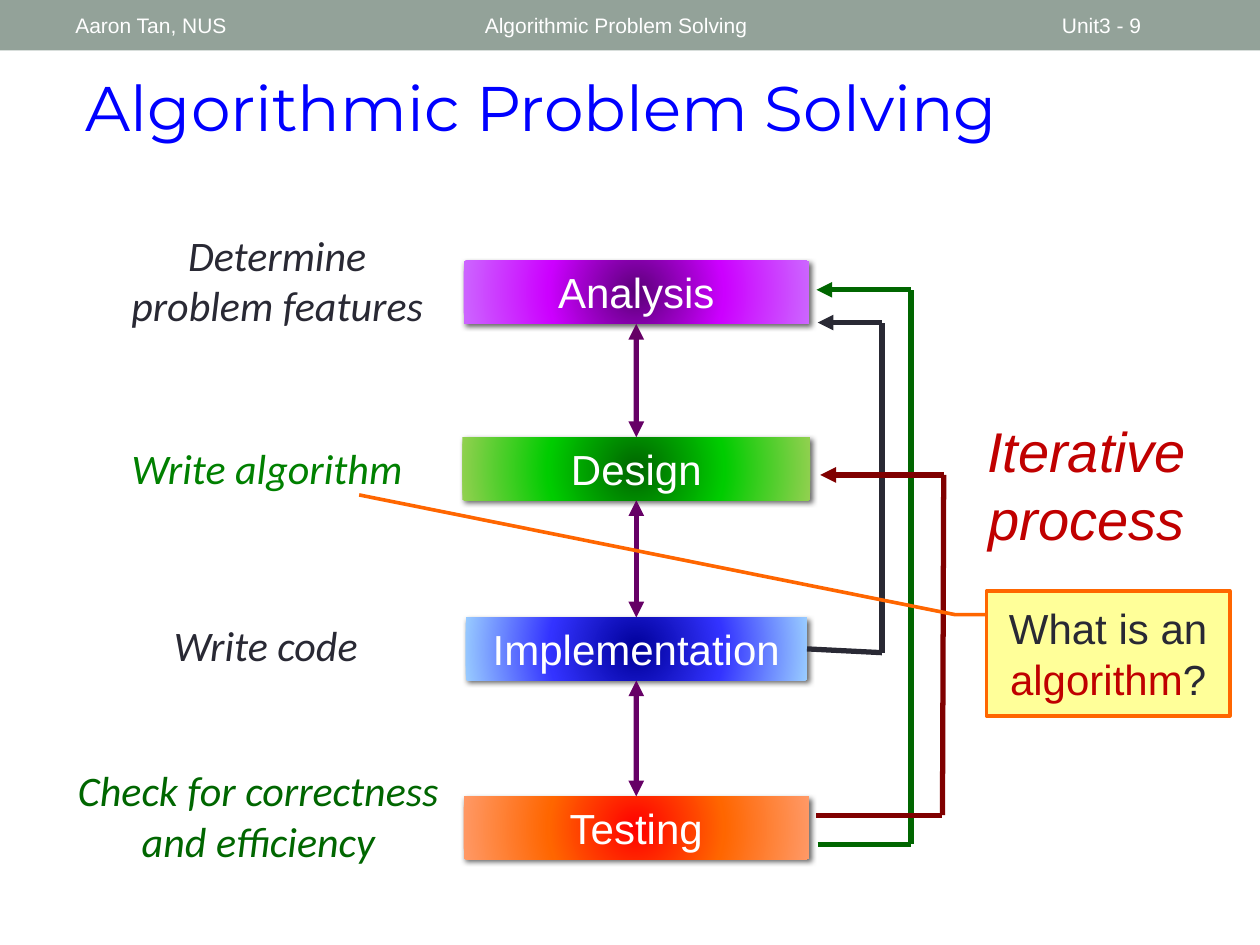
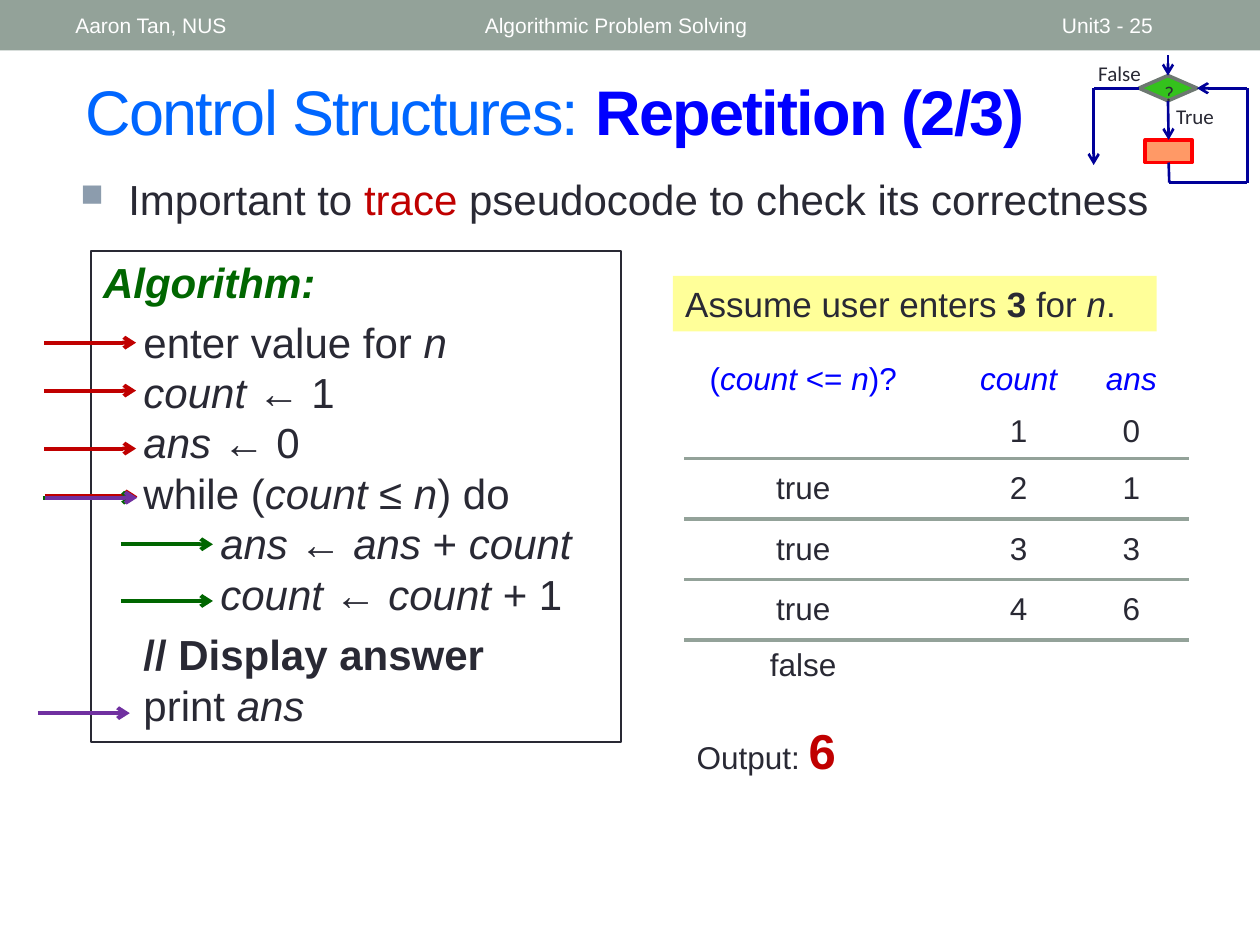
from itertools import pairwise

from pptx import Presentation
from pptx import util as u
from pptx.dml.color import RGBColor
from pptx.enum import shapes, text
from pptx.oxml import parse_xml
from pptx.oxml.ns import nsdecls, qn

INK, WHITE, BAND = "292934", "FFFFFF", "93A299"
BLUE, NAVY, GREEN, RED = "0000FF", "000099", "006600", "C00000"
PURPLE, MAROON, ORANGE, YELLOW = "7030A0", "800000", "FF6600", "FFFF99"
PRESET = shapes.MSO_SHAPE
LEFT, CENTER = text.PP_ALIGN.LEFT, text.PP_ALIGN.CENTER
TOP, MIDDLE = text.MSO_ANCHOR.TOP, text.MSO_ANCHOR.MIDDLE
NO_TABLE_STYLE = "{2D5ABB26-0587-4C30-8999-92F81FD0307C}"


def rgb(value):
    return RGBColor.from_string(value)


def element(xml):
    tag = xml.split()[0].strip("</>")
    return parse_xml(xml.replace(f"<{tag}", f"<{tag} {nsdecls('a')}", 1))


def italics(line):
    return [(part, {"italic": index % 2 == 1})
            for index, part in enumerate(line.split("*")) if part]


class Painter:
    def __init__(self):
        self.deck = Presentation()
        self.deck.slide_width = u.Inches(10)
        self.deck.slide_height = u.Inches(7.5)
        self.page = None

    def add_page(self, number):
        self.page = self.deck.slides.add_slide(self.deck.slide_layouts[5])
        self.shape(PRESET.RECTANGLE, (0, 0, 10, 0.4), fill=BAND)
        for left, width, label in ((0.5, 3.17, "Aaron Tan, NUS"),
                                   (3.75, 4.5, "Algorithmic Problem Solving"),
                                   (8.33, 1.17, f"Unit3 - {number}")):
            self.label((left, 0.02, width, 0.36), label, size=12,
                       color=WHITE, align=LEFT, anchor=MIDDLE)

    def style(self, font, color=None, size=None, name=None, bold=None, italic=None):
        if color:
            font.color.rgb = rgb(color)
        if size:
            font.size = u.Pt(size)
        if name:
            font.name = name
        if bold is not None:
            font.bold = bold
        if italic is not None:
            font.italic = italic

    def fill_para(self, para, content, align=LEFT, before=0, after=0, extras=(),
                  size=24, color=INK, name="Arial", **font):
        para.alignment = align
        para.space_before, para.space_after = u.Pt(before), u.Pt(after)
        properties = para._p.get_or_add_pPr()
        for xml in extras:
            properties.append(element(xml))
        self.style(para.font, color, size, name, **font)
        for piece in [content] if isinstance(content, str) else content:
            words, changes = (piece, {}) if isinstance(piece, str) else piece
            span = para.add_run()
            span.text = words
            self.style(span.font, **changes)

    def fit(self, frame, anchor=TOP, wrap=True):
        frame.word_wrap = wrap
        frame.auto_size = text.MSO_AUTO_SIZE.NONE
        frame.vertical_anchor = anchor
        return frame.paragraphs[0]

    def title(self, at, content, anchor=TOP, spacing=0, **font):
        box = self.page.shapes.title
        box.left, box.top, box.width, box.height = map(u.Inches, at)
        para = self.fit(box.text_frame, anchor)
        self.fill_para(para, content, size=36, **font)
        for span in para.runs:
            span.font._element.set("spc", str(spacing))

    def label(self, at, content, anchor=TOP, wrap=True, align=CENTER, **font):
        box = self.page.shapes.add_textbox(*map(u.Inches, at))
        para = self.fit(box.text_frame, anchor, wrap)
        self.fill_para(para, content, align=align, **font)
        return para

    def shape(self, preset, at, fill=None, line=None, width=1, content=None,
              anchor=TOP, **font):
        box = self.page.shapes.add_shape(preset, *map(u.Inches, at))
        box.shadow.inherit = False
        if fill:
            box.fill.solid()
            box.fill.fore_color.rgb = rgb(fill)
        else:
            box.fill.background()
        if line:
            box.line.color.rgb = rgb(line)
            box.line.width = u.Pt(width)
        else:
            box.line.fill.background()
        para = self.fit(box.text_frame, anchor)
        if content:
            self.fill_para(para, content, **font)
        return box

    def glow_box(self, at, content, colors):
        box = self.shape(PRESET.RECTANGLE, at, content=content,
                         align=CENTER, color=WHITE)
        properties = box.element.spPr
        stops = "".join(f'<a:gs pos="{index * 50000}"><a:srgbClr val="{color}"/></a:gs>'
                        for index, color in enumerate(colors))
        properties.replace(properties.find(qn("a:noFill")), element(
            f'<a:gradFill rotWithShape="1"><a:gsLst>{stops}</a:gsLst><a:path path="circle">'
            '<a:fillToRect l="50000" t="50000" r="50000" b="50000"/></a:path></a:gradFill>'))
        properties.find(qn("a:effectLst")).append(element(
            f'<a:outerShdw blurRad="{u.Pt(3)}" dist="{u.Pt(2)}" dir="2700000">'
            '<a:srgbClr val="000000"><a:alpha val="60000"/></a:srgbClr></a:outerShdw>'))
        return box

    def line(self, start, end, color, width, head=None, tail=None):
        joins = [hasattr(point[0], "shape_id") for point in (start, end)]
        points = [(0, 0) if joined else point
                  for joined, point in zip(joins, (start, end))]
        connector = self.page.shapes.add_connector(
            shapes.MSO_CONNECTOR.STRAIGHT, *(u.Inches(v) for point in points for v in point))
        if joins[0]:
            connector.begin_connect(*start)
        if joins[1]:
            connector.end_connect(*end)
        connector.line.color.rgb = rgb(color)
        connector.line.width = u.Pt(width)
        properties = connector.element.spPr
        for tag, kind in (("headEnd", head), ("tailEnd", tail)):
            if kind:
                properties.find(qn("a:ln")).append(element(f'<a:{tag} type="{kind}"/>'))
        properties.append(element("<a:effectLst />"))

    def route(self, points, color, width, tail=None):
        for start, end in pairwise(points):
            self.line(start, end, color, width, tail=tail if end is points[-1] else None)

    def trace_table(self, at, widths, heights, rows):
        frame = self.page.shapes.add_table(len(rows), len(widths), *map(u.Inches, at))
        table = frame.table
        table.first_row = table.horz_banding = False
        table._tbl.tblPr.find(qn("a:tableStyleId")).text = NO_TABLE_STYLE
        for column, width in zip(table.columns, widths):
            column.width = u.Inches(width)
        for row, height in zip(table.rows, heights):
            row.height = u.Inches(height)
        for row_index, row in enumerate(rows):
            for column_index, content in enumerate(row):
                cell = table.cell(row_index, column_index)
                cell.fill.background()
                cell.vertical_anchor = MIDDLE
                if column_index == 0:
                    cell.margin_right = u.Inches(0.43)
                self.fill_para(cell.text_frame.paragraphs[0], italics(content), size=18,
                               align=CENTER, color=INK if row_index else BLUE)
                if 0 < row_index < len(rows) - 1:
                    cell._tc.get_or_add_tcPr().insert(0, element(
                        f'<a:lnB w="{u.Pt(2.25)}"><a:solidFill><a:srgbClr val="{BAND}"/>'
                        '</a:solidFill></a:lnB>'))


def build_process(painter):
    painter.add_page(9)
    painter.title((0.58, 0.49, 9.17, 0.71), "Algorithmic Problem Solving",
                  color=BLUE, name="Montserrat")
    steps = [("Analysis", 2.07, 2.74, ("5B0079", "CC00FF", "CC66FF")),
             ("Design", 3.47, 2.76, (GREEN, "00CC00", "92D050")),
             ("Implementation", 4.9, 2.71, (NAVY, "3333FF", "99CCFF")),
             ("Testing", 6.32, 2.74, ("FF0000", ORANGE, "FF9966"))]
    boxes = [painter.glow_box((5.05 - width / 2, top, width, 0.5), name, colors)
             for name, top, width, colors in steps]
    for upper, lower in pairwise(boxes):
        painter.line((upper, 2), (lower, 0), "660066", 3, "triangle", "triangle")
    implementation = boxes[2]
    for color, points in (
            (INK, [(implementation, 3), (7, 5.18), (7, 2.56), (6.49, 2.56)]),
            (GREEN, [(6.49, 6.7), (7.23, 6.7), (7.23, 2.3), (6.48, 2.3)]),
            (MAROON, [(6.48, 6.47), (7.48, 6.47), (7.49, 3.77), (6.51, 3.77)])):
        painter.route(points, color, 3, "triangle")
    painter.label((7.5, 3.26, 2.25, 1.18), "Iterative process",
                  size=32, color=RED, italic=True)
    for at, task, color in (
            ((0.88, 1.77, 2.64, 0.91), "Determine problem features", INK),
            ((0.8, 3.46, 2.64, 0.5), "Write algorithm", "008000"),
            ((0.98, 4.87, 2.26, 0.5), "Write code", INK),
            ((0.44, 6.02, 3.22, 0.91), "Check for correctness and efficiency", GREEN)):
        painter.label(at, task, color=color, name="Calibri", italic=True)
    callout = painter.shape(
        PRESET.LINE_CALLOUT_2, (7.83, 4.69, 1.93, 0.99), YELLOW, ORANGE, 2.08,
        ["What is an ", ("algorithm", {"color": RED}), "?"], MIDDLE, align=CENTER)
    for index, value in enumerate((0.19, 0, 0.19, -0.13, -0.77, -2.58)):
        callout.adjustments[index] = value


def build_algorithm(painter):
    box = painter.shape(PRESET.RECTANGLE, (0.72, 1.99, 4.21, 3.9), line=INK)
    frame = box.text_frame
    painter.fill_para(frame.paragraphs[0], "Algorithm:", after=5,
                      color=GREEN, bold=True, italic=True)
    stops = "".join(f'<a:tab pos="{u.Inches(stop)}" algn="l"/>' for stop in (0.32, 0.93))
    tabs = [f"<a:tabLst >{stops}</a:tabLst>"]
    for code in ("\tenter value for *n*", "\t*count *← 1", "\t*ans *← 0",
                 "\twhile (*count *≤ *n*) do", "\t\t*ans *← *ans *+ *count*",
                 "\t\t*count *← *count *+ 1"):
        painter.fill_para(frame.add_paragraph(), italics(code), extras=tabs)
    painter.fill_para(frame.add_paragraph(), "\t// Display answer", before=6,
                      extras=tabs, bold=True)
    painter.fill_para(frame.add_paragraph(), italics("\tprint *ans*"), extras=tabs)
    for left, top, color in (
            (0.35, 2.72, RED), (0.35, 3.1, RED), (0.35, 3.56, RED), (0.36, 3.94, RED),
            (0.34, 3.95, GREEN), (0.96, 4.32, GREEN), (0.96, 4.77, GREEN),
            (0.36, 3.95, PURPLE), (0.3, 5.66, PURPLE)):
        painter.line((left, top), (left + 0.73, top), color, 2.25, tail="arrow")


def build_loop_chart(painter):
    test = painter.shape(PRESET.FLOWCHART_DECISION, (9.04, 0.6, 0.46, 0.2),
                         "34C21C", "6D7871", 2.08)
    body = painter.shape(PRESET.RECTANGLE, (9.09, 1.11, 0.37, 0.18),
                         "FF9966", "FF0000", 2.08)
    for points in ([(9.27, 0.44), (test, 0)],
                   [(test, 2), (body, 0)],
                   [(body, 2), (9.28, 1.45), (9.9, 1.45), (9.9, 0.7), (test, 3)],
                   [(test, 1), (8.68, 0.7), (8.68, 1.31)]):
        painter.route(points, NAVY, 1.5, "arrow")
    for at, word in (((9.23, 0.77, 0.51, 0.25), "True"),
                     ((8.59, 0.43, 0.59, 0.25), "False"),
                     ((9.14, 0.59, 0.28, 0.3), "?")):
        painter.label(at, word, wrap=word != "?", size=12, name="Calibri")


def build_repetition(painter):
    painter.add_page(25)
    painter.title((0.58, 0.5, 8.92, 0.75),
                  ["Control Structures: ", ("Repetition (2/3)", {"color": BLUE, "bold": True})],
                  MIDDLE, -100, color="0066FF")
    bullet = ['<a:buClr ><a:srgbClr val="8C9CAD"/></a:buClr>',
              '<a:buSzPct val="75000"/>', '<a:buChar char="■"/>']
    para = painter.label((0.54, 1.33, 9.15, 0.66),
                         ["Important to ", ("trace", {"color": RED}),
                          " pseudocode to check its correctness"],
                         align=LEFT, extras=bullet)
    properties = para._p.get_or_add_pPr()
    properties.set("marL", str(u.Inches(0.38)))
    properties.set("indent", str(u.Inches(-0.38)))
    build_algorithm(painter)
    painter.shape(PRESET.RECTANGLE, (5.34, 2.19, 3.84, 0.44), YELLOW, size=20,
                  content=["Assume user enters ", ("3", {"bold": True}), " for ",
                           ("n", {"italic": True}), "."])
    painter.trace_table((5.43, 2.81, 4.01, 2.68), (2.22, 0.87, 0.92),
                        (0.4, 0.43, 0.48, 0.48, 0.48, 0.4),
                        [("(*count *<= *n*)?", "*count*", "*ans*"),
                         ("", "1", "0"), ("true", "2", "1"), ("true", "3", "3"),
                         ("true", "4", "6"), ("false", "", "")])
    painter.label((5.43, 5.67, 1.72, 0.57),
                  ["Output: ", ("6", {"size": 28, "color": RED, "bold": True})],
                  size=18, align=LEFT)
    build_loop_chart(painter)


def main():
    painter = Painter()
    build_process(painter)
    build_repetition(painter)
    painter.deck.save("out.pptx")


if __name__ == "__main__":
    main()
